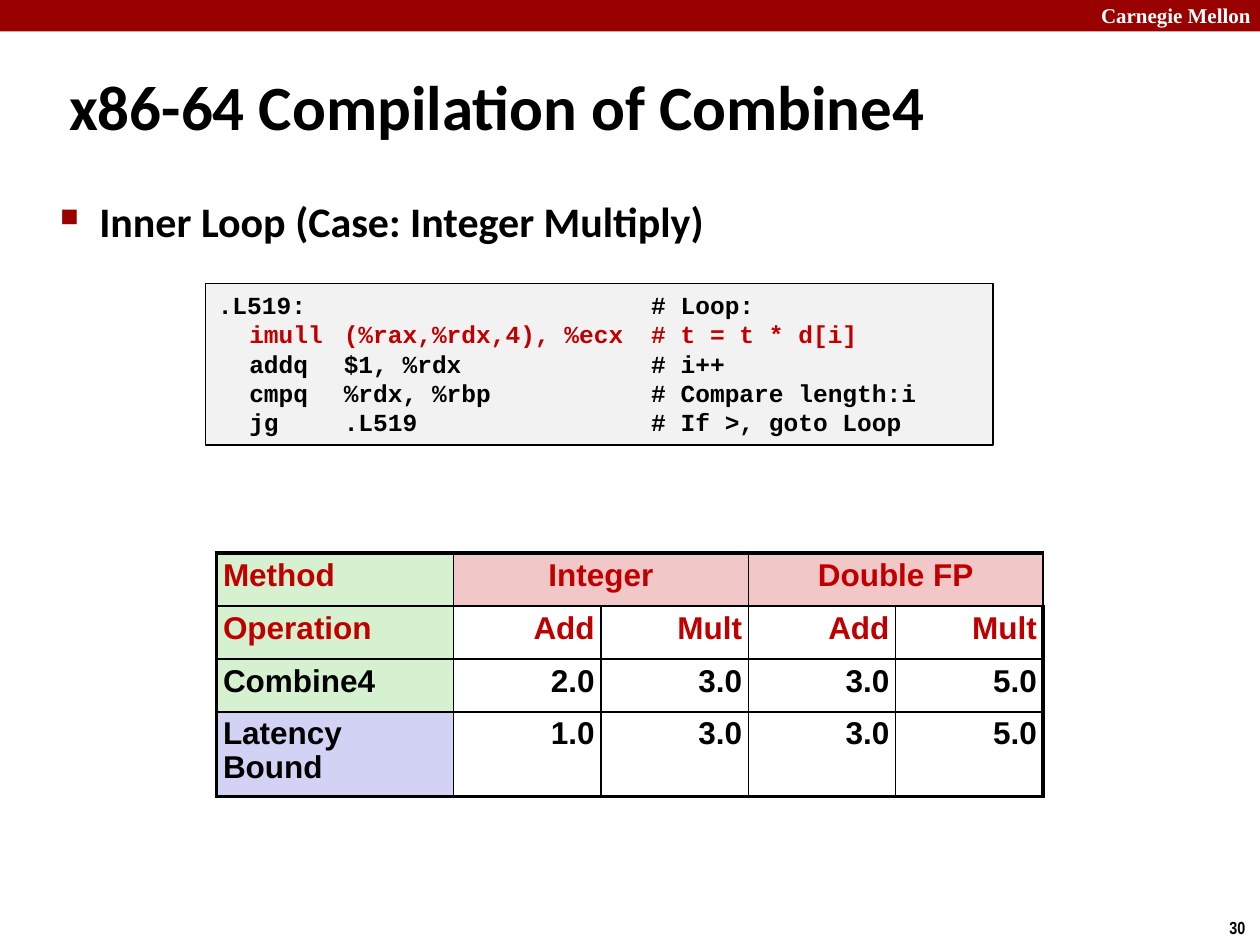
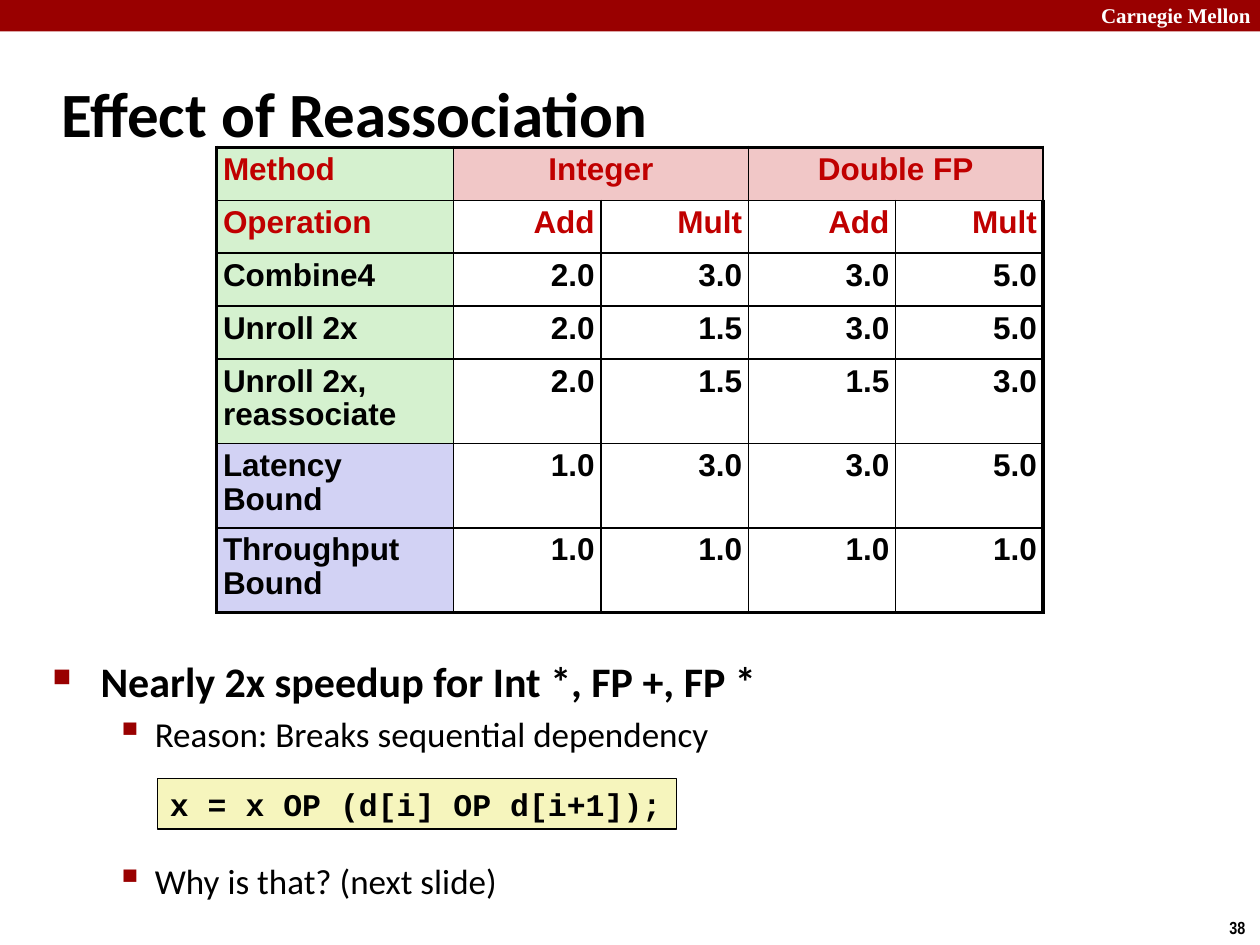
from dataclasses import dataclass

from lxml.etree import SubElement
from pptx import Presentation
from pptx.dml.color import RGBColor
from pptx.enum.shapes import MSO_SHAPE as Shape
from pptx.enum.text import MSO_ANCHOR as Anchor, PP_ALIGN as Align
from pptx.oxml.ns import qn
from pptx.util import Inches, Pt


@dataclass(frozen=True)
class Theme:
    """Colours, fonts and type sizes shared by the slides."""
    black: str = "000000"
    white: str = "FFFFFF"
    band: str = "990000"
    accent: str = "C00000"
    code_gray: str = "F2F2F2"
    code_yellow: str = "F6F5BD"
    method_green: str = "D5F1CF"
    type_pink: str = "F1C7C7"
    bound_blue: str = "D2D2F4"
    body_font: str = "Calibri"
    code_font: str = "Courier New"
    table_font: str = "Arial"
    brand_font: str = "Times New Roman"
    number_font: str = "Arial Narrow"
    title_size: int = 36
    body_size: int = 24
    sub_size: int = 20
    table_size: int = 18
    brand_size: int = 12
    number_size: int = 10
    thin: float = 1
    thick: float = 2.25


THEME = Theme()


def write(para, text, *, font=THEME.body_font, size=THEME.body_size, color=THEME.black,
          bold=True, align=None, before=None, spacing=None):
    """Write one formatted run into a paragraph."""
    if align is not None:
        para.alignment = align
    if before is not None:
        para.space_before = Pt(before)
    if spacing is not None:
        para.line_spacing = spacing
    span = para.add_run()
    span.text = text
    span.font.name = font
    span.font.size = Pt(size)
    span.font.bold = bold
    span.font.color.rgb = RGBColor.from_string(color)


def add_text_box(page, left, top, width, height, wrap=True):
    """Add an empty text box and return its text frame."""
    box = page.shapes.add_textbox(Inches(left), Inches(top), Inches(width), Inches(height))
    box.text_frame.word_wrap = wrap
    return box.text_frame


def add_rectangle(page, left, top, width, height, fill, line=None):
    """Add a flat rectangle, outlined when a line colour is given."""
    box = page.shapes.add_shape(Shape.RECTANGLE, Inches(left), Inches(top),
                                Inches(width), Inches(height))
    box.shadow.inherit = False
    box.fill.solid()
    box.fill.fore_color.rgb = RGBColor.from_string(fill)
    if line:
        box.line.color.rgb = RGBColor.from_string(line)
        box.line.width = Pt(THEME.thin)
    else:
        box.line.fill.background()
    return box


def set_bullet(para, symbol, percent, margin, hang):
    """Give a paragraph a coloured bullet with a hanging indent."""
    props = para._p.get_or_add_pPr()
    props.set("marL", str(Inches(margin)))
    props.set("indent", str(-Inches(hang)))
    color = SubElement(props, qn("a:buClr"))
    SubElement(color, qn("a:srgbClr"), val=THEME.band)
    SubElement(props, qn("a:buSzPct"), val=str(percent * 1000))
    SubElement(props, qn("a:buChar"), char=symbol)


def set_tabs(para, stops):
    """Give a paragraph left tab stops."""
    tabs = SubElement(para._p.get_or_add_pPr(), qn("a:tabLst"))
    for stop in stops:
        SubElement(tabs, qn("a:tab"), pos=str(Inches(stop)), algn="l")


def add_page(deck, title, number, left, top):
    """Add a slide with its band, brand, page number and title."""
    page = deck.slides.add_slide(deck.slide_layouts[6])
    add_rectangle(page, 0, 0, 10, 0.25, THEME.band)
    brand = add_text_box(page, 8.64, -0.03, 1.43, 0.3)
    write(brand.paragraphs[0], "Carnegie Mellon", font=THEME.brand_font,
          size=THEME.brand_size, color=THEME.white)
    footer = add_text_box(page, 9.66, 7.23, 0.34, 0.27, wrap=False)
    write(footer.paragraphs[0], str(number), font=THEME.number_font, size=THEME.number_size)
    heading = add_text_box(page, left, top, 8.3, 0.83)
    heading.vertical_anchor = Anchor.MIDDLE
    write(heading.paragraphs[0], title, size=THEME.title_size)
    return page


def add_bullets(page, left, top, width, height, heading, hang, points=()):
    """Add a main bullet and its (text, space before) sub-points."""
    frame = add_text_box(page, left, top, width, height)
    para = frame.paragraphs[0]
    set_bullet(para, "■", 60, hang, hang)
    write(para, heading)
    for text, before in points:
        para = frame.add_paragraph()
        para.level = 1
        set_bullet(para, "▪", 110, 0.81, 0.31)
        write(para, text, size=THEME.sub_size, bold=False, before=before)


def add_code(page, left, top, width, height, lines, fill, size, tabs=(), marked=None, wrap=True):
    """Add a framed listing, with the marked line in the accent colour."""
    frame = add_rectangle(page, left, top, width, height, fill, THEME.black).text_frame
    frame.word_wrap = wrap
    frame.vertical_anchor = Anchor.TOP
    for index, line in enumerate(lines):
        para = frame.add_paragraph() if index else frame.paragraphs[0]
        if tabs:
            set_tabs(para, tabs)
        write(para, line, font=THEME.code_font, size=size, align=Align.LEFT,
              color=THEME.accent if index == marked else THEME.black)


def set_borders(cell, outer_sides):
    """Draw thick lines on the outer sides of a cell and thin ones elsewhere."""
    props = cell._tc.get_or_add_tcPr()
    for side in "LRTB":
        width = THEME.thick if side in outer_sides else THEME.thin
        line = SubElement(props, qn(f"a:ln{side}"), w=str(Pt(width)))
        fill = SubElement(line, qn("a:solidFill"))
        SubElement(fill, qn("a:srgbClr"), val=THEME.black)


def cell_fill(row, column, label):
    """Choose the fill of a cell from its place and row label."""
    if column == 0:
        return THEME.bound_blue if label.endswith("Bound") else THEME.method_green
    return THEME.type_pink if row == 0 else None


def add_timing_table(page, top, results):
    """Add the table of cycles per element, two header rows first."""
    rows = [("Method", "Integer", "", "Double FP", ""),
            ("Operation", "Add", "Mult", "Add", "Mult"), *results]
    widths = [1.88] + [1.17] * 4
    heights = [0.67 if len(row[0]) > 10 else 0.42 for row in rows]
    table = page.shapes.add_table(len(rows), len(widths), Inches(1.72), Inches(top),
                                  Inches(sum(widths)), Inches(sum(heights))).table
    table.first_row = table.horz_banding = False
    for column, width in zip(table.columns, widths):
        column.width = Inches(width)
    for r, (row, height) in enumerate(zip(rows, heights)):
        table.rows[r].height = Inches(height)
        for c, text in enumerate(row):
            cell = table.cell(r, c)
            cell.margin_left = cell.margin_right = Inches(0.05)
            cell.margin_top = cell.margin_bottom = Inches(0.05)
            edges = {"L": c == 0, "R": c == len(row) - 1, "T": r == 0, "B": r == len(rows) - 1}
            set_borders(cell, [side for side, is_outer in edges.items() if is_outer])
            fill = cell_fill(r, c, row[0])
            if fill:
                cell.fill.solid()
                cell.fill.fore_color.rgb = RGBColor.from_string(fill)
            else:
                cell.fill.background()
            if text:
                align = Align.LEFT if c == 0 else Align.CENTER if r == 0 else Align.RIGHT
                write(cell.text_frame.paragraphs[0], text, font=THEME.table_font,
                      size=THEME.table_size, color=THEME.accent if r < 2 else THEME.black,
                      align=align, spacing=0.95)
    for start in (1, 3):
        table.cell(0, start).merge(table.cell(0, start + 1))


def main():
    """Build and save the two slides."""
    deck = Presentation()
    deck.slide_width, deck.slide_height = Inches(10), Inches(7.5)
    combine4 = ("Combine4", "2.0", "3.0", "3.0", "5.0")
    latency = ("Latency Bound", "1.0", "3.0", "3.0", "5.0")

    page = add_page(deck, "x86-64 Compilation of Combine4", 30, 0.45, 0.42)
    add_bullets(page, 0.38, 1.5, 9.03, 0.75, "Inner Loop (Case: Integer Multiply)", 0.31)
    loop = [".L519:\t\t# Loop:",
            "\timull\t(%rax,%rdx,4), %ecx\t# t = t * d[i]",
            "\taddq\t$1, %rdx\t# i++",
            "\tcmpq\t%rdx, %rbp\t# Compare length:i",
            "\tjg\t.L519\t# If >, goto Loop"]
    add_code(page, 1.63, 2.25, 6.25, 1.28, loop, THEME.code_gray, 14,
             tabs=(0.25, 1, 3.44), marked=1)
    add_timing_table(page, 4.39, [combine4, latency])

    page = add_page(deck, "Effect of Reassociation", 38, 0.39, 0.48)
    add_bullets(page, 0.32, 5.15, 9.09, 1.9, "Nearly 2x speedup for Int *, FP +, FP *", 0.38,
                [("Reason: Breaks sequential dependency", 4), ("Why is that? (next slide)", 60)])
    add_code(page, 1.25, 6.18, 4.12, 0.4, ["x = x OP (d[i] OP d[i+1]);"],
             THEME.code_yellow, 18, wrap=False)
    add_timing_table(page, 1.17, [
        combine4,
        ("Unroll 2x", "2.0", "1.5", "3.0", "5.0"),
        ("Unroll 2x, reassociate", "2.0", "1.5", "1.5", "3.0"),
        latency,
        ("Throughput Bound", "1.0", "1.0", "1.0", "1.0")])
    deck.save("out.pptx")


if __name__ == "__main__":
    main()
